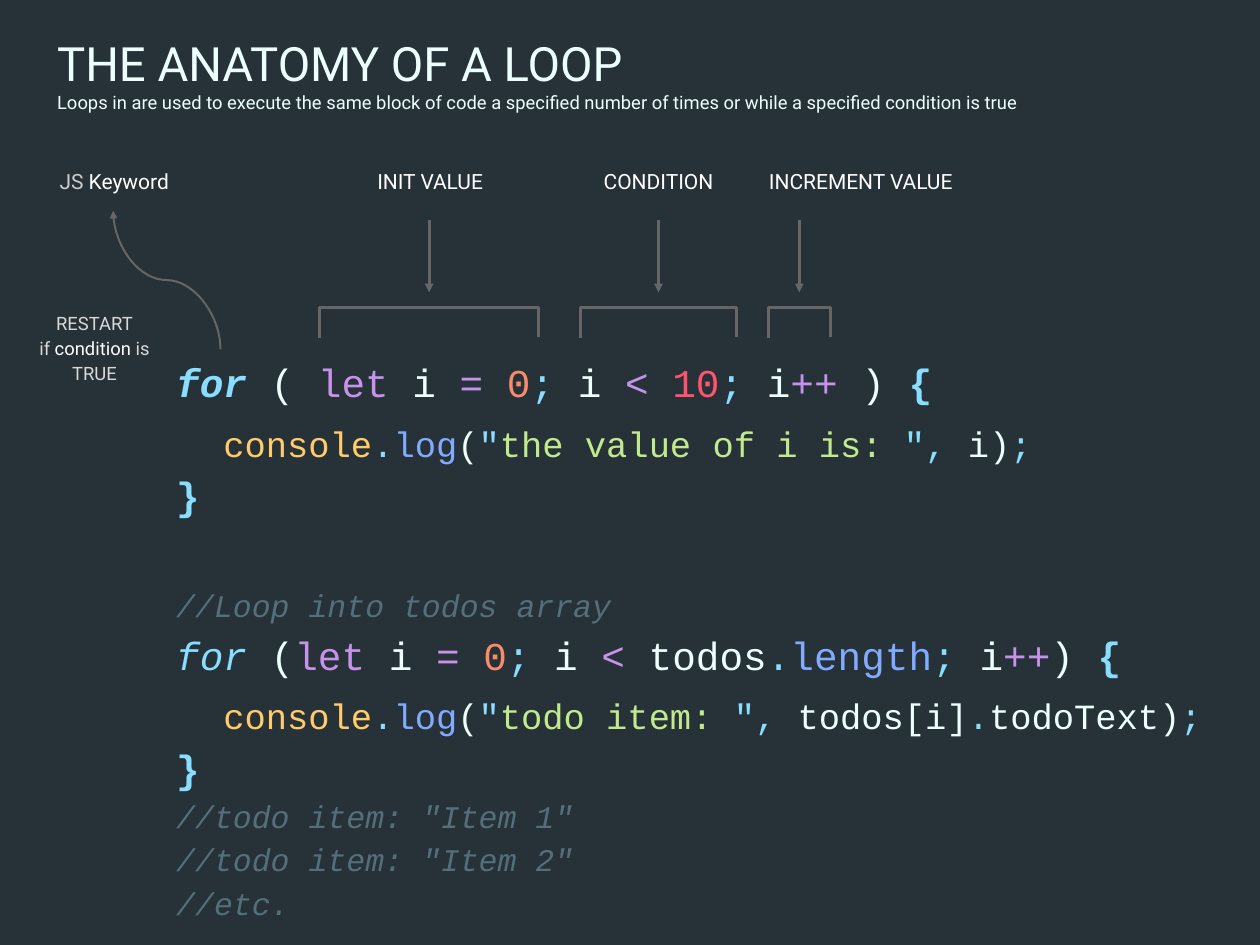
from pptx import Presentation
from pptx.dml.color import RGBColor
from pptx.enum.shapes import MSO_CONNECTOR as Link
from pptx.enum.text import MSO_ANCHOR as Anchor, MSO_AUTO_SIZE as AutoSize, PP_ALIGN as Align
from pptx.oxml.ns import qn
from pptx.util import Pt
from lxml.etree import SubElement

PX = 9525
INSET = 10
CODE_FONT, LABEL_FONT = "Courier New", "Roboto"

NIGHT = RGBColor(0x26, 0x32, 0x38)
PLAIN = RGBColor(0xEE, 0xFF, 0xFF)
PUNCT = RGBColor(0x89, 0xDD, 0xFF)
KEYWORD = RGBColor(0xC7, 0x92, 0xEA)
NUMBER = RGBColor(0xF7, 0x8C, 0x6C)
LIMIT = RGBColor(0xFF, 0x53, 0x70)
OBJECT = RGBColor(0xFF, 0xCB, 0x6B)
MEMBER = RGBColor(0x82, 0xAA, 0xFF)
STRING = RGBColor(0xC3, 0xE8, 0x8D)
COMMENT = RGBColor(0x54, 0x6E, 0x7A)
WHITE = RGBColor(0xFF, 0xFF, 0xFF)
SILVER = RGBColor(0xCC, 0xCC, 0xCC)
PALE = RGBColor(0xD9, 0xD9, 0xD9)
GREY = RGBColor(0x66, 0x66, 0x66)

INIT = [("let", KEYWORD), (" i ", PLAIN), ("= ", KEYWORD), ("0", NUMBER), (";", PUNCT), (" i ", PLAIN)]
LOG = [("console", OBJECT), (".", PUNCT), ("log", MEMBER), ("(", PLAIN), ('"', PUNCT)]
OPEN = [(") ", PLAIN), ("{", PUNCT, "b")]
CLOSE = ("head", [("}", PUNCT, "b")])

CODE = [
    ("head", [("for", PUNCT, "bi"), (" ( ", PLAIN), *INIT, ("< ", KEYWORD), ("10", LIMIT),
              (";", PUNCT), (" i", PLAIN), ("++ ", KEYWORD), *OPEN]),
    ("body", [*LOG, ("the value of i is: ", STRING), ('",', PUNCT), (" i)", PLAIN), (";", PUNCT)]),
    CLOSE,
    ("section", [("//Loop into todos array", COMMENT, "i")]),
    ("head", [("for ", PUNCT, "i"), ("(", PLAIN), *INIT, ("<", KEYWORD), (" todos", PLAIN),
              (".", PUNCT), ("length", MEMBER), (";", PUNCT), (" i", PLAIN), ("++", KEYWORD), *OPEN]),
    ("body", [*LOG, ("todo item: ", STRING), ('", ', PUNCT), ("todos[i]", PLAIN), (".", PUNCT),
              ("todoText)", PLAIN), (";", PUNCT)]),
    CLOSE,
    ("note", [('//todo item: "Item 1"', COMMENT, "i")]),
    ("note", [('//todo item: "Item 2"', COMMENT, "i")]),
    ("note", [("//etc.", COMMENT, "i")]),
]
LINE_STYLES = {"head": (30, 1.15, 0, 0), "body": (27, 1.38, 48, 0),
               "section": (24, 1.15, 0, 47), "note": (24, 1.15, 0, 0)}

PHASES = [
    ("INIT VALUE", 325, 222, 363, 148),
    ("CONDITION", 590, 158, 603, 132),
    ("INCREMENT VALUE", 781, 63, 754, 241),
]


def scaled(*lengths):
    """Turn px lengths into EMU."""
    return [length * PX for length in lengths]


def set_frame(frame, anchor, insets):
    """Give a text frame its wrapping, anchor and insets."""
    frame.word_wrap = True
    frame.auto_size = AutoSize.NONE
    frame.vertical_anchor = anchor
    (frame.margin_left, frame.margin_top,
     frame.margin_right, frame.margin_bottom) = scaled(*insets)


def add_spans(para, spans, font_name, size):
    """Write coloured runs into a paragraph."""
    for text, color, *style in spans:
        span = para.add_run()
        span.text = text
        font = span.font
        font.name, font.size = font_name, Pt(size)
        font.bold = "b" in "".join(style)
        font.italic = "i" in "".join(style)
        font.color.rgb = color


def next_para(frame, index):
    """Return the first paragraph, or a new one after it."""
    return frame.paragraphs[0] if index == 0 else frame.add_paragraph()


def add_label(page, box, lines, size=16, spacing=1.0):
    """Place a centred label."""
    frame = page.shapes.add_textbox(*scaled(*box)).text_frame
    set_frame(frame, Anchor.MIDDLE, [INSET] * 4)
    for index, spans in enumerate(lines):
        para = next_para(frame, index)
        para.alignment, para.line_spacing = Align.CENTER, spacing
        add_spans(para, spans, LABEL_FONT, size)


def add_arrow(page, kind, ends, width):
    """Draw a grey connector with a triangle at its end."""
    arrow = page.shapes.add_connector(kind, *scaled(*ends))
    arrow.line.color.rgb = GREY
    arrow.line.width = Pt(width)
    SubElement(arrow.line._get_or_add_ln(), qn("a:tailEnd"), type="triangle")
    SubElement(arrow._element.spPr, qn("a:effectLst"))
    return arrow


def add_title(page, box):
    """Place the title and its explanation."""
    title = page.shapes.title
    title.left, title.top, title.width, title.height = scaled(*box)
    frame = title.text_frame
    set_frame(frame, Anchor.MIDDLE, [INSET] * 4)
    lines = [("THE ANATOMY OF A LOOP", 36),
             ("Loops in are used to execute the same block of code a specified number of times "
              "or while a specified condition is true", 14)]
    for index, (text, size) in enumerate(lines):
        para = next_para(frame, index)
        para.alignment, para.line_spacing = Align.LEFT, 1.0
        para.space_before = Pt(0)
        add_spans(para, [(text, PLAIN)], LABEL_FONT, size)


def add_code(page, box):
    """Place the highlighted code."""
    frame = page.shapes.add_textbox(*scaled(*box)).text_frame
    set_frame(frame, Anchor.TOP, (13, 7, 0, 7))
    for index, (kind, spans) in enumerate(CODE):
        size, spacing, indent, gap = LINE_STYLES[kind]
        para = next_para(frame, index)
        para.line_spacing, para.space_before = spacing, Pt(gap)
        properties = para._p.get_or_add_pPr()
        properties.set("marL", "0")
        properties.set("indent", str(indent * PX))
        add_spans(para, spans, CODE_FONT, size)


def add_phase(page, box, text, label_left, label_width):
    """Place a label, its arrow and the bracket over one part of the loop head."""
    left, top, width, height = box
    add_label(page, (label_left, top, label_width, 31), [[(text, WHITE)]])
    middle, bottom = left + width // 2, top + height
    add_arrow(page, Link.STRAIGHT, (middle, top + 55, middle, top + 128), 2.25)
    builder = page.shapes.build_freeform(left, bottom, scale=PX)
    builder.add_line_segments([(left, bottom - 31), (left + width, bottom - 31),
                               (left + width, bottom - 1)], close=False)
    bracket = builder.convert_to_shape()
    bracket.fill.background()
    bracket.line.color.rgb = GREY
    bracket.line.width = Pt(2.25)
    bracket.shadow.inherit = False


def add_keyword_note(page, box):
    """Place the keyword label and the curve that leads to it."""
    left, top, width, height = box
    add_label(page, (left, top, width, 31), [[("JS ", SILVER), ("Keyword", WHITE)]])
    curve_left, curve_top = left + 52, top + 61
    ends = (curve_left + 141, curve_top, curve_left, curve_top + 109)
    curve = add_arrow(page, Link.CURVE, ends, 1.5)
    curve._element.spPr.find(qn("a:xfrm")).set("rot", "5400000")


def main():
    """Build and save the deck."""
    deck = Presentation()
    deck.slide_width, deck.slide_height = scaled(1280, 960)
    page = deck.slides.add_slide(deck.slide_layouts[5])
    page.background.fill.solid()
    page.background.fill.fore_color.rgb = NIGHT
    add_code(page, (166, 350, 1102, 604))
    add_keyword_note(page, (47, 169, 138, 186))
    add_label(page, (27, 312, 138, 80),
              [[("RESTART", PALE)], [("if ", PALE), ("condition ", WHITE), ("is TRUE", PALE)]],
              size=14, spacing=1.15)
    for text, left, width, label_left, label_width in PHASES:
        add_phase(page, (left, 169, width, 174), text, label_left, label_width)
    add_title(page, (48, 34, 1176, 82))
    deck.save("out.pptx")


if __name__ == "__main__":
    main()
